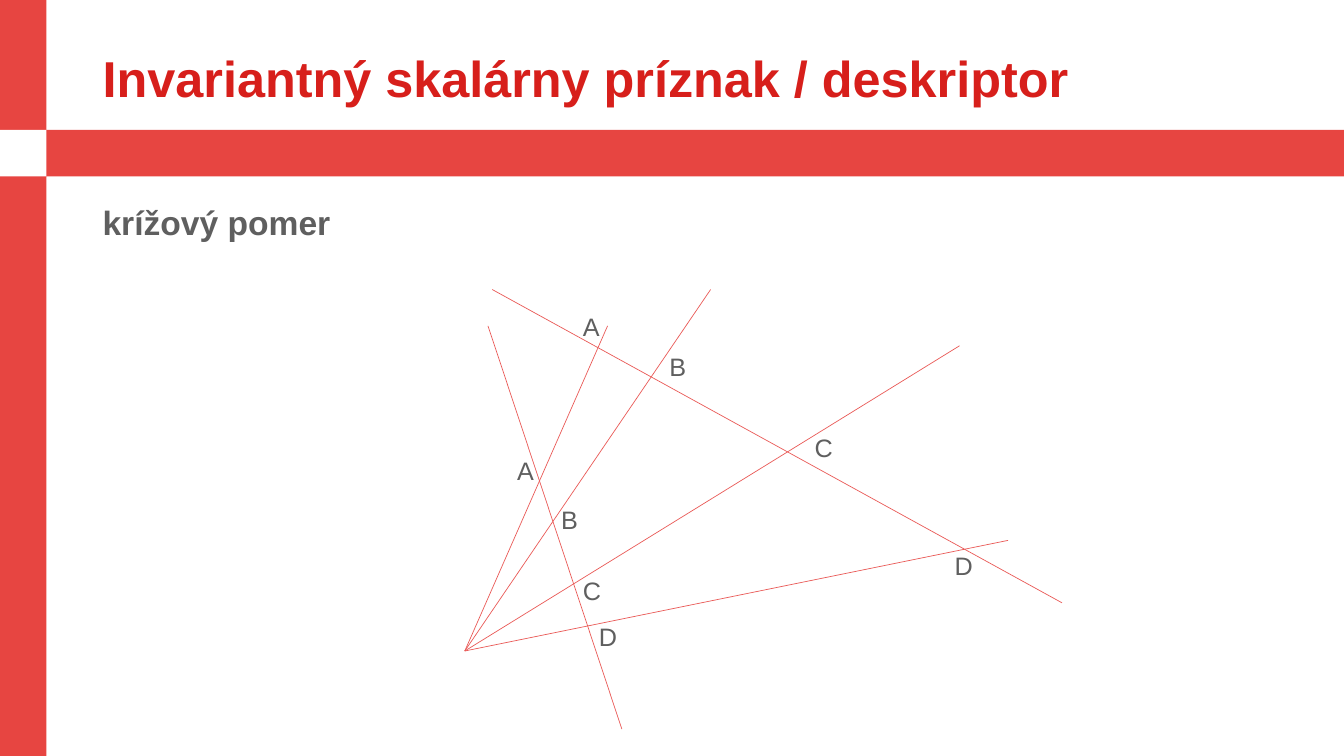
"""Build the slide on the cross ratio of four lines through a point."""
from lxml.etree import SubElement
from pptx import Presentation
from pptx.dml.color import RGBColor
from pptx.enum.shapes import MSO_CONNECTOR, MSO_SHAPE
from pptx.enum.text import MSO_ANCHOR, MSO_AUTO_SIZE, PP_ALIGN
from pptx.oxml.ns import qn
from pptx.util import Pt

HUES = {"band": "E74541", "white": "FFFFFF", "title": "D71F1B",
        "text": "5F5F5F", "line": "EA5B58"}
WIDE, HIGH = 960, 540
BAR, BAND = 33.2, 92.8
LEFT = 66.2


def hue(key):
    return RGBColor.from_string(HUES[key])


def write(shape, text, color, frame, font, gap=1.0):
    body = shape.text_frame
    for key, value in frame.items():
        setattr(body, key, value)
    body.text = text
    para = body.paragraphs[0]
    para.alignment = PP_ALIGN.LEFT
    para.line_spacing = gap
    for key, value in font.items():
        setattr(para.font, key, value)
    para.font.name = "Arial"
    para.font.color.rgb = hue(color)


deck = Presentation()
deck.slide_width, deck.slide_height = Pt(WIDE), Pt(HIGH)
slide = deck.slides.add_slide(deck.slide_layouts[5])
shapes = slide.shapes

bars = [(0, 0, BAR, HIGH, "band"),
        (0, BAND, WIDE, BAR, "band"),
        (0, BAND, BAR, BAR, "white")]
for *box, color in bars:
    bar = shapes.add_shape(MSO_SHAPE.RECTANGLE, *map(Pt, box))
    bar.shadow.inherit = False
    bar.fill.solid()
    bar.fill.fore_color.rgb = hue(color)
    bar.line.fill.background()

title = shapes.title
place = {"left": LEFT, "top": 25.2, "width": 828, "height": 65.5}
for key, value in place.items():
    setattr(title, key, Pt(value))
block = {"word_wrap": True, "auto_size": MSO_AUTO_SIZE.NONE}
write(title, "Invariantný skalárny príznak / deskriptor", "title",
      {**block, "vertical_anchor": MSO_ANCHOR.MIDDLE},
      {"size": Pt(36), "bold": True}, 0.9)

topic = shapes.add_textbox(Pt(LEFT), Pt(144), Pt(408), Pt(342.7))
write(topic, "krížový pomer", "text", block,
      {"size": Pt(24), "bold": True}, 0.9)

apex = (332, 465)
ends = [(507.6, 206.8), (685.4, 247), (720, 386), (434, 232.8)]
lines = [(apex, end) for end in ends]
lines += [((351.6, 206.8), (758.6, 430.6)), ((444.2, 520.8), (348.6, 232.8))]
for start, end in lines:
    line = shapes.add_connector(MSO_CONNECTOR.STRAIGHT, *map(Pt, start + end))
    line.line.color.rgb = hue("line")
    line.line.width = Pt(0.5)
    SubElement(line._element.spPr, qn("a:effectLst"))

near = [(362.2, 321.4), (393.8, 356.8), (409.2, 407.6), (420.6, 440.6)]
far = [(409.2, 218.8), (471, 247.2), (574.8, 305), (674.8, 389.4)]
label = {"word_wrap": False, "auto_size": MSO_AUTO_SIZE.SHAPE_TO_FIT_TEXT}
for spots in (near, far):
    for name, (left, top) in zip("ABCD", spots):
        mark = shapes.add_textbox(Pt(left), Pt(top), Pt(27), Pt(29))
        write(mark, name, "text", label, {"size": Pt(18)})

deck.save("out.pptx")
